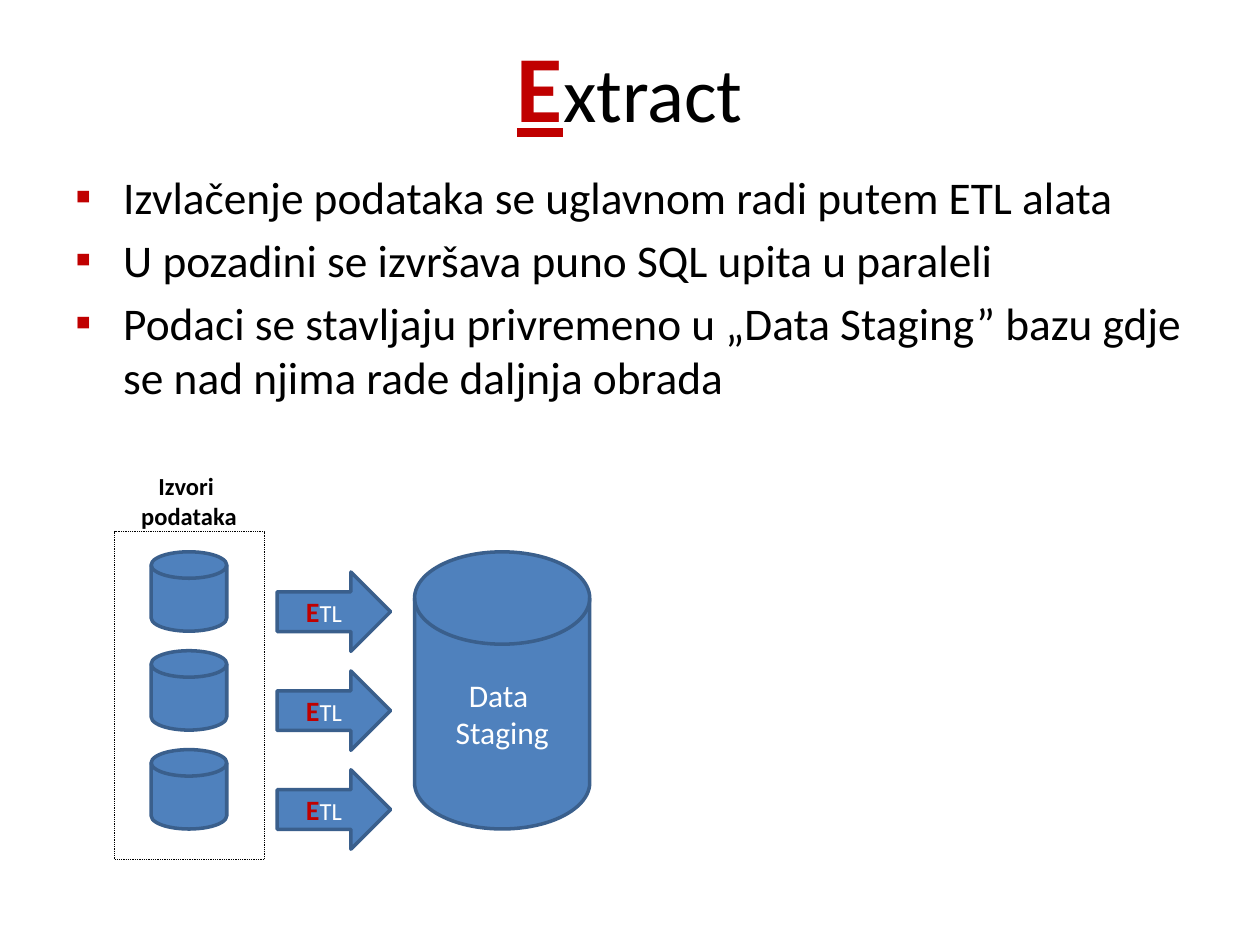
from lxml import etree
from pptx import Presentation
from pptx.dml.color import RGBColor
from pptx.enum import dml, shapes, text
from pptx.oxml import ns
from pptx.util import Inches, Pt

RED, BLUE, EDGE, BLACK, WHITE = "C00000", "4F81BD", "3A5F8C", "000000", "FFFFFF"
SHAPE = shapes.MSO_SHAPE


def color(target, value):
    target.rgb = RGBColor.from_string(value)


def write(frame, lines, align=text.PP_ALIGN.CENTER):
    """Fill a frame; each line is a list of (words, size, colour, bold)."""
    for i, line in enumerate(lines):
        para = frame.paragraphs[0] if i == 0 else frame.add_paragraph()
        para.alignment = align
        para.font.name = "Calibri"
        for words, size, shade, bold in line:
            span = para.add_run()
            span.text = words
            span.font.size = Pt(size)
            span.font.bold = bold
            color(span.font.color, shade)


deck = Presentation()
deck.slide_width, deck.slide_height = Inches(10), Inches(7.5)
page = deck.slides.add_slide(deck.slide_layouts[5])

# Title
title = page.shapes.title
title.left, title.top = Inches(0.5), Inches(0.05)
title.width, title.height = Inches(9), Inches(1.25)
title.text_frame.vertical_anchor = text.MSO_ANCHOR.MIDDLE
write(title.text_frame, [[("E", 54, RED, True), ("xtract", 44, BLACK, False)]])
title.text_frame.paragraphs[0].runs[0].font.underline = True

# Bullets
body = page.shapes.add_textbox(Inches(0.5), Inches(1.29), Inches(9), Inches(2.31))
body.text_frame.word_wrap = True
bullets = [
    "Izvlačenje podataka se uglavnom radi putem ETL alata",
    "U pozadini se izvršava puno SQL upita u paraleli",
    "Podaci se stavljaju privremeno u „Data Staging” bazu gdje se nad njima rade daljnja obrada",
]
write(body.text_frame, [[(words, 25.9, BLACK, False)] for words in bullets],
      text.PP_ALIGN.LEFT)
for para in body.text_frame.paragraphs:
    para.space_before = Pt(5)
    props = para._p.get_or_add_pPr()
    props.set("marL", str(Inches(0.38)))
    props.set("indent", str(-Inches(0.38)))
    shade = etree.SubElement(props, ns.qn("a:buClr"))
    etree.SubElement(shade, ns.qn("a:srgbClr"), val=RED)
    etree.SubElement(props, ns.qn("a:buFont"), typeface="Calibri")
    etree.SubElement(props, ns.qn("a:buChar"), char="▪")

# Diagram: kind, left, top, width, height, text lines
diagram = page.shapes.add_group_shape().shapes
frame = diagram.add_shape(SHAPE.RECTANGLE, Inches(0.91), Inches(4.22), Inches(1.19), Inches(2.6))
frame.shadow.inherit = False
frame.fill.background()
color(frame.line.color, BLACK)
frame.line.width = Pt(0.5)
frame.line.dash_style = dml.MSO_LINE.ROUND_DOT

label = diagram.add_textbox(Inches(1.02), Inches(3.69), Inches(0.96), Inches(0.57))
label.text_frame.word_wrap = False
write(label.text_frame, [[(words, 14, BLACK, True)] for words in ("Izvori ", "podataka")])

disk, arrow = SHAPE.FLOWCHART_MAGNETIC_DISK, SHAPE.RIGHT_ARROW
staging = [[(words, 18, WHITE, False)] for words in ("Data ", "Staging")]
etl = [[("E", 16, RED, True), ("TL", 14, WHITE, False)]]
parts = [(disk, 3.29, 4.38, 1.39, 2.2, staging)]
for row in range(3):
    drop = row * 0.785
    parts.append((disk, 1.2, 4.38 + drop, 0.6, 0.63, []))
    parts.append((arrow, 2.2, 4.54 + drop, 0.9, 0.63, etl))

for kind, left, top, width, height, lines in parts:
    box = diagram.add_shape(kind, Inches(left), Inches(top), Inches(width), Inches(height))
    box.shadow.inherit = False
    box.fill.solid()
    color(box.fill.fore_color, BLUE)
    color(box.line.color, EDGE)
    box.line.width = Pt(2)
    box.text_frame.vertical_anchor = text.MSO_ANCHOR.MIDDLE
    write(box.text_frame, lines)

deck.save("out.pptx")
